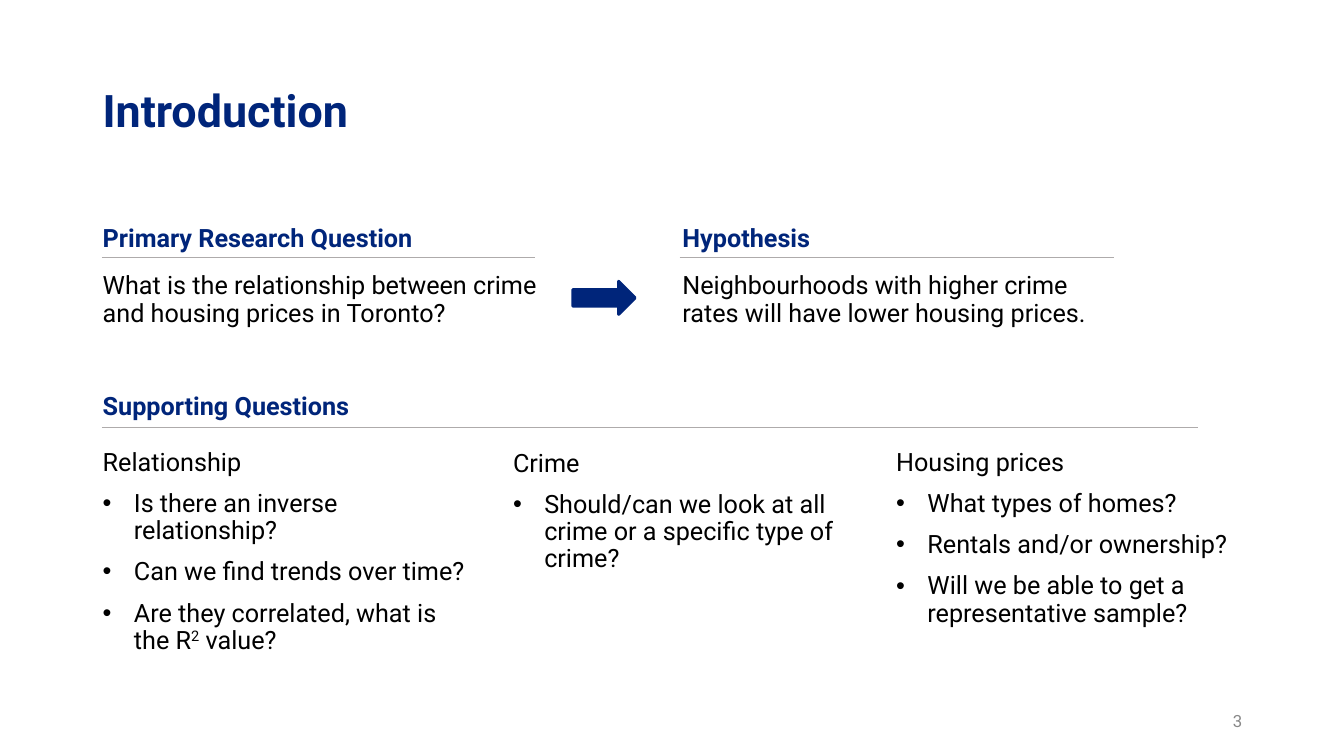
from dataclasses import dataclass

import pptx
import pptx.dml.color
import pptx.enum.shapes
import pptx.enum.text
import pptx.oxml.ns
import pptx.util
from lxml import etree

Inches = pptx.util.Inches
Pt = pptx.util.Pt
qn = pptx.oxml.ns.qn
Align = pptx.enum.text.PP_ALIGN
Anchor = pptx.enum.text.MSO_ANCHOR

NAVY, BLACK, GREY, RULE = "00257A", "000000", "888888", "AEABAB"
FONT = "Roboto"
LEFT, RIGHT = 0.92, 6.67
HEADING_TOP, ANSWER_TOP = 2.19, 2.66
INDENT = 0.31


@dataclass
class Span:
    text: str
    superscript: bool = False


@dataclass
class Para:
    spans: list[Span]
    bullet: bool = False


@dataclass
class TextBlock:
    left: float
    top: float
    width: float
    height: float
    paras: list[Para]
    size: float = 18
    color: str = BLACK
    bold: bool = False
    anchor: Anchor = Anchor.TOP
    align: Align = Align.LEFT
    line_spacing: float = 0.9


@dataclass
class Rule:
    left: float
    right: float
    top: float


def rgb(value: str) -> pptx.dml.color.RGBColor:
    return pptx.dml.color.RGBColor.from_string(value)


def plain(text: str) -> list[Para]:
    return [Para([Span(text)])]


def bullets(*texts: str) -> list[Para]:
    return [Para([Span(text)], bullet=True) for text in texts]


def add_bullet(para) -> None:
    para.space_before = Pt(10)
    properties = para._p.get_or_add_pPr()
    properties.set("marL", str(Inches(INDENT)))
    properties.set("indent", str(-Inches(INDENT)))
    etree.SubElement(properties, qn("a:buFont"), typeface="Arial")
    etree.SubElement(properties, qn("a:buChar"), char="•")


def draw_text(page, block: TextBlock) -> None:
    box = page.shapes.add_textbox(Inches(block.left), Inches(block.top),
                                  Inches(block.width), Inches(block.height))
    frame = box.text_frame
    frame.word_wrap = True
    frame.vertical_anchor = block.anchor
    for index, item in enumerate(block.paras):
        para = frame.add_paragraph() if index else frame.paragraphs[0]
        para.alignment = block.align
        para.line_spacing = block.line_spacing
        if item.bullet:
            add_bullet(para)
        for part in item.spans:
            span = para.add_run()
            span.text = part.text
            span.font.name = FONT
            span.font.size = Pt(block.size)
            span.font.bold = block.bold
            span.font.color.rgb = rgb(block.color)
            if part.superscript:
                span._r.get_or_add_rPr().set("baseline", "30000")


def draw_rule(page, rule: Rule) -> None:
    line = page.shapes.add_connector(
        pptx.enum.shapes.MSO_CONNECTOR.STRAIGHT, Inches(rule.left),
        Inches(rule.top), Inches(rule.right), Inches(rule.top))
    line.line.color.rgb = rgb(RULE)
    line.line.width = Pt(0.75)
    etree.SubElement(line._element.spPr, qn("a:effectLst"))


def draw_arrow(page) -> None:
    arrow = page.shapes.add_shape(
        pptx.enum.shapes.MSO_SHAPE.RIGHT_ARROW,
        Inches(5.68), Inches(2.79), Inches(0.62), Inches(0.33))
    arrow.shadow.inherit = False
    arrow.fill.solid()
    arrow.fill.fore_color.rgb = rgb(NAVY)
    arrow.line.color.rgb = rgb(NAVY)
    arrow.line.width = Pt(2)


def heading(left: float, top: float, width: float, text: str) -> TextBlock:
    return TextBlock(left, top, width, 0.43, plain(text), color=NAVY, bold=True)


BLOCKS = [
    # Title
    TextBlock(LEFT, 0.4, 7.46, 1.45, plain("Introduction"), size=32,
              color=NAVY, bold=True, anchor=Anchor.MIDDLE),
    # Research question and hypothesis
    heading(LEFT, HEADING_TOP, 5.55, "Primary Research Question"),
    TextBlock(LEFT, ANSWER_TOP, 4.62, 0.7, plain(
        "What is the relationship between crime and housing prices in Toronto?")),
    heading(RIGHT, HEADING_TOP, 5.38, "Hypothesis"),
    TextBlock(RIGHT, ANSWER_TOP, 4.27, 0.59, plain(
        "Neighbourhoods with higher crime rates will have lower housing prices.")),
    # Supporting questions
    heading(LEFT, 3.86, 10.02, "Supporting Questions"),
    TextBlock(LEFT, 4.41, 3.91, 1.59, [
        *plain("Relationship"),
        *bullets("Is there an inverse relationship?",
                 "Can we find trends over time?"),
        Para([Span("Are they correlated, what is the R"),
              Span("2", superscript=True), Span(" value?")], bullet=True)]),
    TextBlock(4.99, 4.42, 3.63, 1.59, [
        *plain("Crime"),
        *bullets("Should/can we look at all crime or a specific type of crime?")]),
    TextBlock(8.79, 4.41, 3.63, 1.59, [
        *plain("Housing prices"),
        *bullets("What types of homes?", "Rentals and/or ownership?",
                 "Will we be able to get a representative sample?")]),
    # Page number
    TextBlock(9.42, 6.95, 3, 0.4, plain("3"), size=12, color=GREY,
              anchor=Anchor.MIDDLE, align=Align.RIGHT, line_spacing=1.0),
]

RULES = [Rule(1.01, 5.31, 2.55), Rule(6.74, 11.05, 2.55), Rule(1.01, 11.88, 4.24)]


def main() -> None:
    deck = pptx.Presentation()
    deck.slide_width, deck.slide_height = Inches(13.33), Inches(7.5)
    page = deck.slides.add_slide(deck.slide_layouts[6])
    for block in BLOCKS:
        draw_text(page, block)
    for rule in RULES:
        draw_rule(page, rule)
    draw_arrow(page)
    deck.save("out.pptx")


if __name__ == "__main__":
    main()
